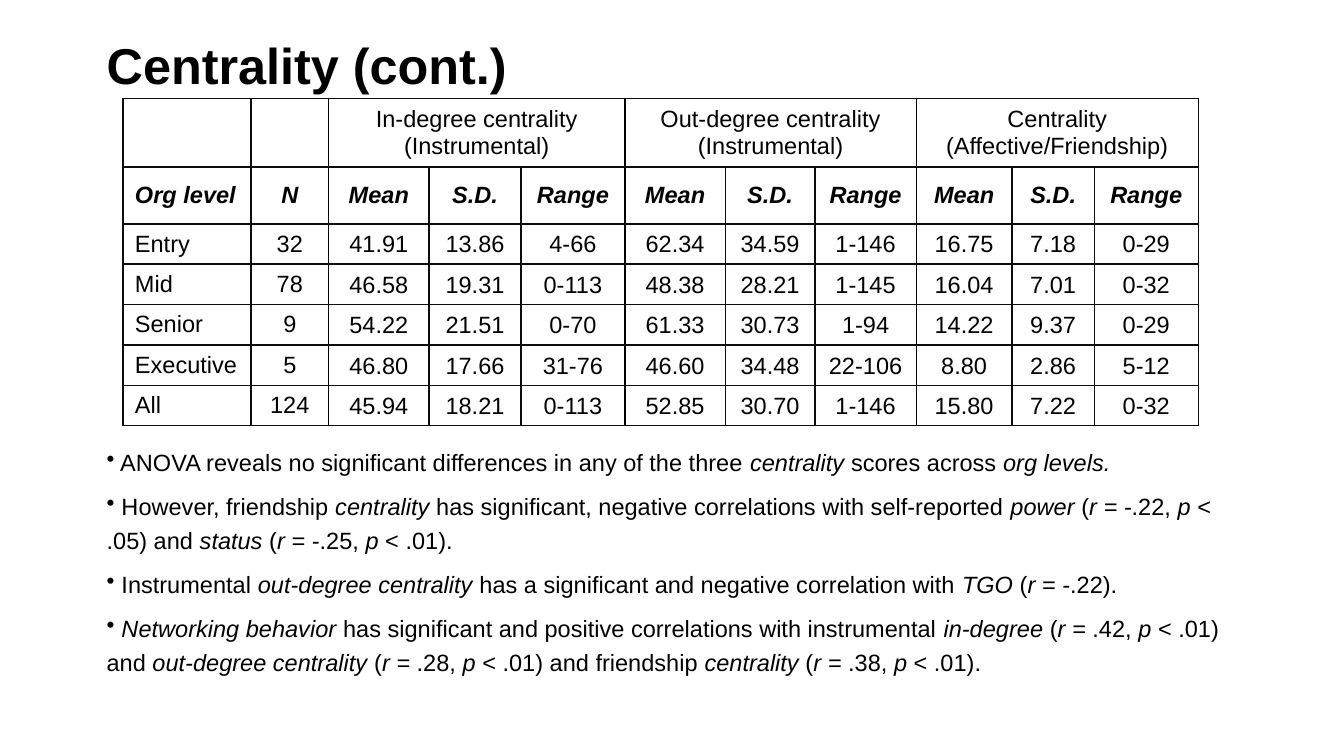
from pptx import Presentation
from pptx.dml.color import RGBColor
from pptx.enum.text import MSO_ANCHOR, PP_ALIGN
from pptx.oxml.ns import qn
from pptx.util import Cm, Pt
from lxml.etree import SubElement

TITLE = "Centrality (cont.)"
GROUPS = [
    ["In-degree centrality (Instrumental)"],
    ["Out-degree centrality (Instrumental)"],
    ["Centrality", "(Affective/Friendship)"],
]
HEADINGS = ["Org level", "N"] + ["Mean", "S.D.", "Range"] * len(GROUPS)
LEVELS = [
    ("Entry", "32", "41.91", "13.86", "4-66", "62.34", "34.59", "1-146", "16.75", "7.18", "0-29"),
    ("Mid", "78", "46.58", "19.31", "0-113", "48.38", "28.21", "1-145", "16.04", "7.01", "0-32"),
    ("Senior", "9", "54.22", "21.51", "0-70", "61.33", "30.73", "1-94", "14.22", "9.37", "0-29"),
    ("Executive", "5", "46.80", "17.66", "31-76", "46.60", "34.48", "22-106", "8.80", "2.86", "5-12"),
    ("All", "124", "45.94", "18.21", "0-113", "52.85", "30.70", "1-146", "15.80", "7.22", "0-32"),
]
FINDINGS = [
    " ANOVA reveals no significant differences in any of the three *centrality *scores across *org levels.*",
    " However, friendship *centrality* has significant, negative correlations with self-reported "
    "*power *(*r = -*.22, *p *< .05) and *status *(*r = -*.25, *p *< .01).",
    " Instrumental *out-degree centrality *has a significant and negative correlation with *TGO* (*r = -*.22).",
    "* Networking behavior *has significant and positive correlations with instrumental *in-degree* "
    "(*r = *.42, *p *< .01) and* out-degree centrality* (*r = *.28, *p *< .01) and friendship "
    "*centrality* (*r = *.38, *p *< .01).",
]
COLORS = {"text": "000000", "grid": "0C0C0C", "group": "000000"}
FONT = "Arial"
BODY_SIZE = 14
COLUMN_WIDTHS = [2.69, 1.63, 2.11, 1.93, 2.18, 2.11, 1.88, 2.13, 2.01, 1.73, 2.18]
ROW_HEIGHTS = [1.36, 1.19] + [0.81] * len(LEVELS)
GROUP_EDGES = (2, 5, 8)


def add_span(para, text, size=BODY_SIZE, bold=False, italic=False):
    span = para.add_run()
    span.text = text
    span.font.name = FONT
    span.font.size = Pt(size)
    span.font.bold = bold
    span.font.italic = italic
    span.font.color.rgb = RGBColor.from_string(COLORS["text"])


def add_frame(page, top, height, anchor):
    frame = page.shapes.add_textbox(Cm(2.24), Cm(top), Cm(23.6), Cm(height)).text_frame
    frame.word_wrap = True
    frame.vertical_anchor = anchor
    frame.margin_left = frame.margin_right = frame.margin_top = frame.margin_bottom = 0
    return frame


def add_findings(page):
    frame = add_frame(page, 9.3, 4.78, MSO_ANCHOR.TOP)
    for index, finding in enumerate(FINDINGS):
        para = frame.add_paragraph() if index else frame.paragraphs[0]
        para.line_spacing = 1.2
        if index:
            para.space_before = Pt(6)
        properties = para._p.get_or_add_pPr()
        properties.set("marL", "0")
        properties.set("indent", "0")
        SubElement(properties, qn("a:buChar")).set("char", "•")
        for part, text in enumerate(finding.split("*")):
            if text:
                add_span(para, text, italic=part % 2 == 1)


def set_borders(cell, column, last_column):
    properties = cell._tc.get_or_add_tcPr()
    edges = {"a:lnL": column, "a:lnR": last_column + 1, "a:lnT": None, "a:lnB": None}
    for tag, edge in edges.items():
        line = SubElement(properties, qn(tag), w=str(Pt(1)))
        fill = SubElement(line, qn("a:solidFill"))
        color = COLORS["group" if edge in GROUP_EDGES else "grid"]
        SubElement(fill, qn("a:srgbClr"), val=color)


def fill_cell(cell, lines, centered=True, strong=False):
    cell.vertical_anchor = MSO_ANCHOR.MIDDLE
    for index, text in enumerate(lines):
        para = cell.text_frame.add_paragraph() if index else cell.text_frame.paragraphs[0]
        para.alignment = PP_ALIGN.CENTER if centered else PP_ALIGN.LEFT
        add_span(para, text, bold=strong, italic=strong)


def add_centrality_table(page):
    frame = page.shapes.add_table(len(ROW_HEIGHTS), len(COLUMN_WIDTHS), Cm(2.58), Cm(2.07),
                                  Cm(sum(COLUMN_WIDTHS)), Cm(sum(ROW_HEIGHTS)))
    table = frame.table
    table.first_row = table.horz_banding = False
    for column, width in zip(table.columns, COLUMN_WIDTHS):
        column.width = Cm(width)
    for row, height in zip(table.rows, ROW_HEIGHTS):
        row.height = Cm(height)
    for start, lines in zip(GROUP_EDGES, GROUPS):
        table.cell(0, start).merge(table.cell(0, start + 2))
        fill_cell(table.cell(0, start), lines)
    for row, values in enumerate([HEADINGS] + LEVELS, 1):
        for column, value in enumerate(values):
            cell = table.cell(row, column)
            fill_cell(cell, [value], centered=column > 0, strong=row == 1)
            if row > 1 and column > 1:
                cell.margin_left = cell.margin_right = cell.margin_top = Cm(0.03)
                cell.margin_bottom = 0
    for row in range(len(ROW_HEIGHTS)):
        for column in range(len(COLUMN_WIDTHS)):
            cell = table.cell(row, column)
            last_column = column + cell.span_width - 1 if cell.is_merge_origin else column
            set_borders(cell, column, last_column)
            cell.fill.background()


def main():
    """Build the centrality results slide."""
    deck = Presentation()
    deck.slide_width, deck.slide_height = Cm(28.22), Cm(15.88)
    page = deck.slides.add_slide(deck.slide_layouts[6])
    title = add_frame(page, 0.61, 1.47, MSO_ANCHOR.MIDDLE)
    add_span(title.paragraphs[0], TITLE, size=30, bold=True)
    add_findings(page)
    add_centrality_table(page)
    deck.save("out.pptx")


if __name__ == "__main__":
    main()
